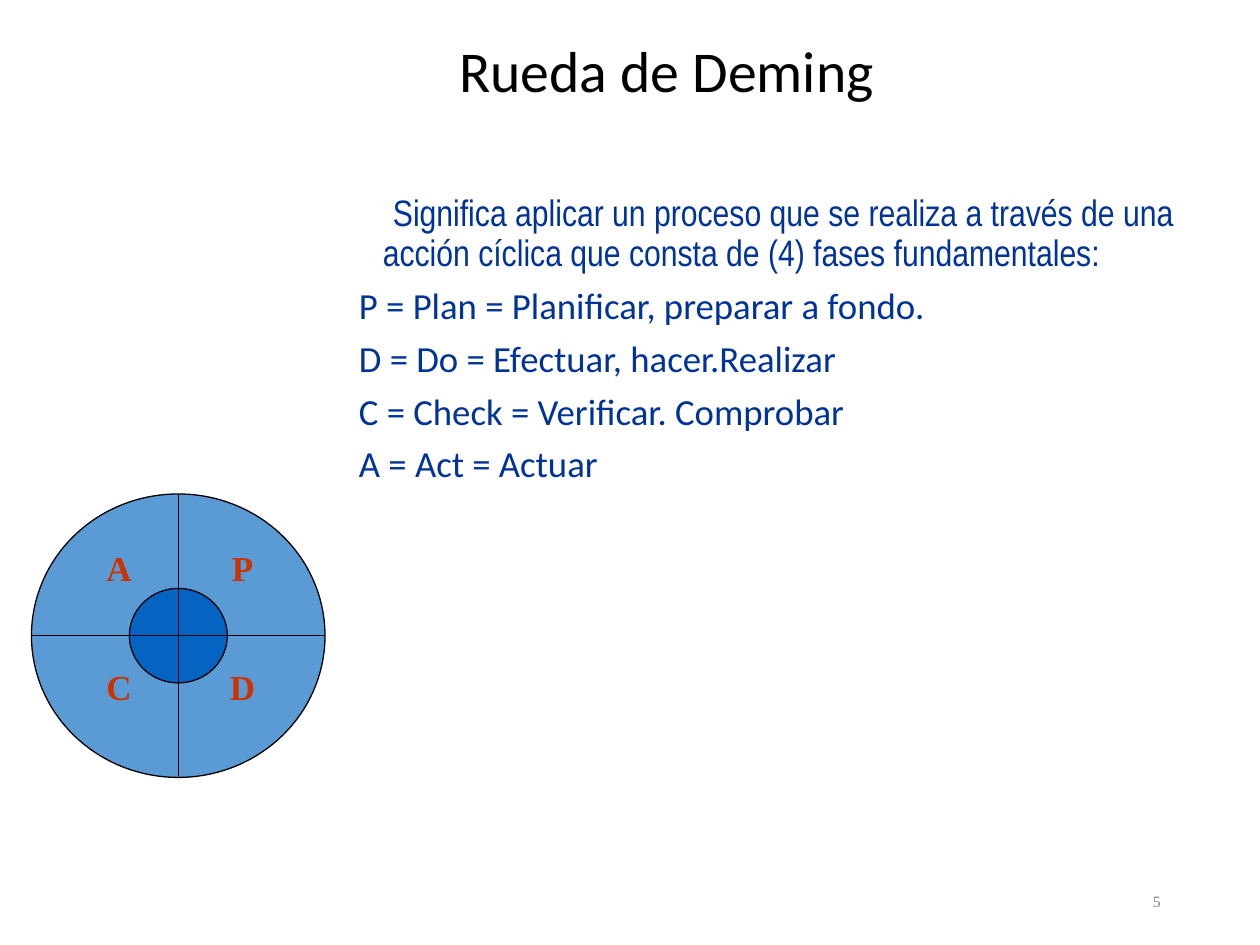
from dataclasses import dataclass

from lxml.etree import SubElement
from pptx import Presentation
from pptx.dml.color import RGBColor
from pptx.enum.shapes import MSO_CONNECTOR, MSO_SHAPE
from pptx.enum.text import MSO_ANCHOR, PP_ALIGN
from pptx.oxml.ns import qn
from pptx.util import Inches, Pt


@dataclass(frozen=True)
class Theme:
    title_color: RGBColor = RGBColor.from_string("000000")
    body_color: RGBColor = RGBColor.from_string("003399")
    number_color: RGBColor = RGBColor.from_string("898989")
    letter_color: RGBColor = RGBColor.from_string("CC3300")
    rim_color: RGBColor = RGBColor.from_string("5B9BD5")
    hub_color: RGBColor = RGBColor.from_string("0563C1")
    line_color: RGBColor = RGBColor.from_string("000000")
    sans: str = "Calibri"
    narrow: str = "Arial Narrow"
    serif: str = "Times New Roman"
    title_size: Pt = Pt(33)
    body_size: Pt = Pt(21)
    letter_size: Pt = Pt(20)
    number_size: Pt = Pt(9)
    line_width: Pt = Pt(0.75)


THEME = Theme()
INTRO = ("Significa aplicar un proceso que se realiza a través de una "
         "acción cíclica que consta de (4) fases fundamentales:")
PHASES = [
    "P = Plan = Planificar, preparar a fondo.",
    "D = Do = Efectuar, hacer.Realizar",
    "C = Check = Verificar. Comprobar",
    "A = Act = Actuar",
]
WHEEL_LETTERS = ["AP", "CD"]


def add_frame(shapes, box, anchor=MSO_ANCHOR.TOP):
    frame = shapes.add_textbox(*map(Inches, box)).text_frame
    frame.word_wrap = True
    frame.vertical_anchor = anchor
    return frame


def write(paragraph, text, font_name, size, color, align, bold=False):
    paragraph.text = text
    paragraph.alignment = align
    font = paragraph.font
    font.name, font.size, font.bold = font_name, size, bold
    font.color.rgb = color


def add_title(slide, box):
    heading = add_frame(slide.shapes, box, MSO_ANCHOR.MIDDLE).paragraphs[0]
    write(heading, "Rueda de Deming", THEME.sans, THEME.title_size,
          THEME.title_color, PP_ALIGN.CENTER)
    heading.line_spacing = 0.9


def add_explanation(slide, box):
    frame = add_frame(slide.shapes, box)
    for index, text in enumerate([INTRO, *PHASES]):
        is_intro = index == 0
        paragraph = frame.paragraphs[0] if is_intro else frame.add_paragraph()
        write(paragraph, text, THEME.narrow if is_intro else THEME.sans,
              THEME.body_size, THEME.body_color,
              PP_ALIGN.LEFT if index < 2 else PP_ALIGN.JUSTIFY)
        paragraph.line_spacing = 0.9
        paragraph.space_before = Pt(7.5)
        properties = paragraph._p.get_or_add_pPr()
        properties.set("marL", str(Inches(0.19)))
        properties.set("indent", str(Inches(0.08 if is_intro else -0.19)))


def add_disc(shapes, box, color):
    disc = shapes.add_shape(MSO_SHAPE.OVAL, *map(Inches, box))
    disc.shadow.inherit = False
    disc.fill.solid()
    disc.fill.fore_color.rgb = color
    disc.line.color.rgb = THEME.line_color
    disc.line.width = THEME.line_width


def add_spoke(shapes, ends):
    spoke = shapes.add_connector(MSO_CONNECTOR.STRAIGHT, *map(Inches, ends))
    spoke.line.color.rgb = THEME.line_color
    spoke.line.width = THEME.line_width
    SubElement(spoke._element.spPr, qn("a:effectLst"))


def add_wheel(slide, box):
    left, top, width, height = box
    center_x, center_y = left + width / 2, top + height / 2
    shapes = slide.shapes.add_group_shape().shapes
    add_disc(shapes, box, THEME.rim_color)
    hub_box = (left + width / 3, top + height / 3, width / 3, height / 3)
    add_disc(shapes, hub_box, THEME.hub_color)
    add_spoke(shapes, (center_x, top, center_x, top + height))
    add_spoke(shapes, (left, center_y, left + width, center_y))
    for row, letters in enumerate(WHEEL_LETTERS):
        for column, letter in enumerate(letters):
            letter_box = (left + 0.19 + 0.98 * column,
                          top + 0.37 + 0.94 * row, 1.01, 0.44)
            paragraph = add_frame(shapes, letter_box).paragraphs[0]
            write(paragraph, letter, THEME.serif, THEME.letter_size,
                  THEME.letter_color, PP_ALIGN.CENTER, bold=True)
            paragraph.space_before = Pt(12.5)


def add_page_number(slide, box):
    number = add_frame(slide.shapes, box, MSO_ANCHOR.MIDDLE).paragraphs[0]
    write(number, "5", THEME.serif, THEME.number_size,
          THEME.number_color, PP_ALIGN.RIGHT)


def main():
    deck = Presentation()
    deck.slide_width, deck.slide_height = Inches(10), Inches(7.5)
    slide = deck.slides.add_slide(deck.slide_layouts[6])
    add_title(slide, (2.83, 0, 4.92, 1.17))
    add_explanation(slide, (2.75, 1.5, 7.25, 4.5))
    add_page_number(slide, (7.06, 6.95, 2.25, 0.4))
    add_wheel(slide, (0.25, 3.92, 2.33, 2.25))
    deck.save("out.pptx")


if __name__ == "__main__":
    main()
